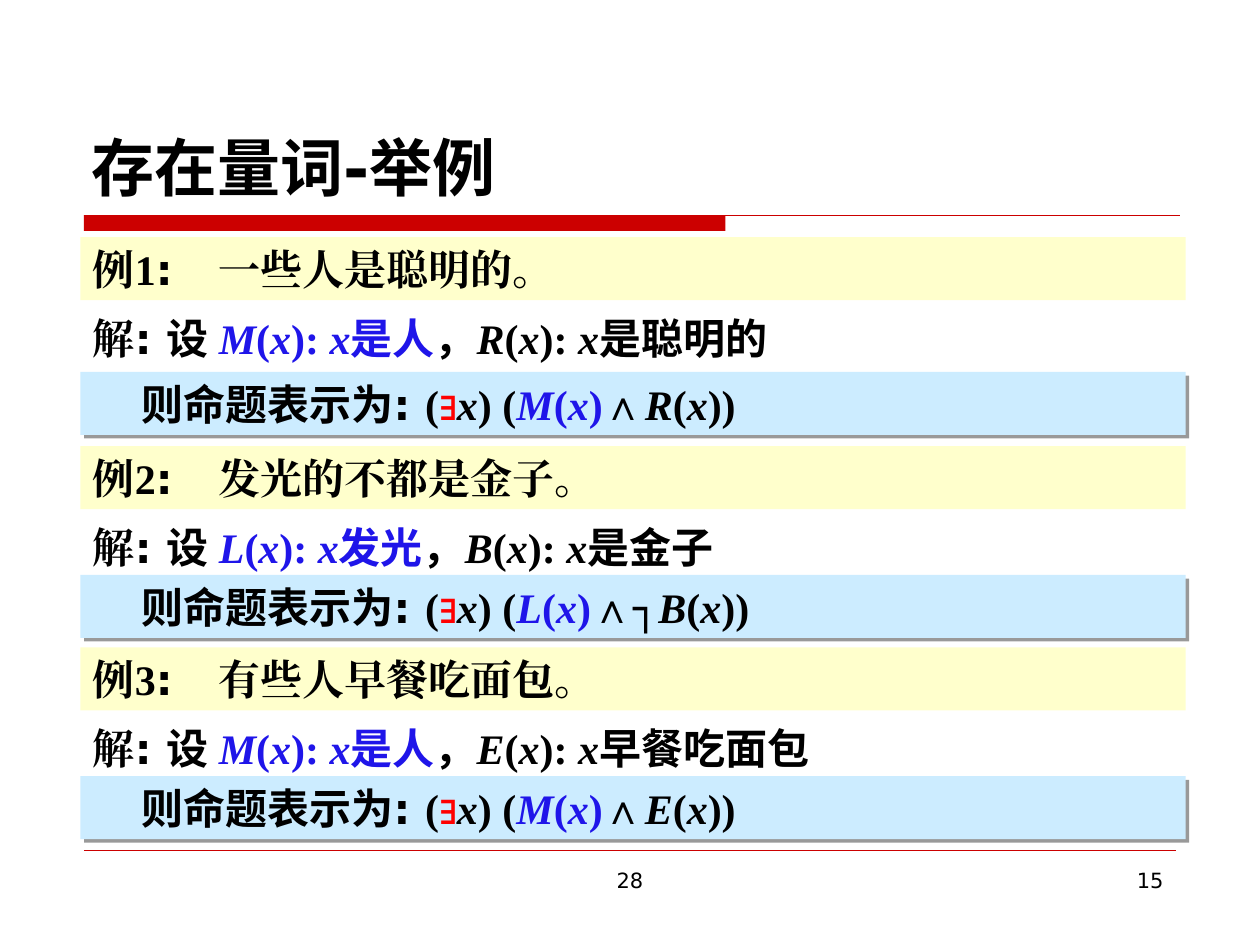
from itertools import groupby
from lxml.etree import SubElement
from pptx import Presentation
from pptx.dml.color import RGBColor
from pptx.enum.shapes import MSO_CONNECTOR, MSO_SHAPE
from pptx.enum.text import MSO_ANCHOR, MSO_AUTO_SIZE, PP_ALIGN
from pptx.oxml import parse_xml
from pptx.oxml.ns import nsdecls, qn
from pptx.util import Pt

BLACK = RGBColor(0x00, 0x00, 0x00)
BLUE = RGBColor(0x1F, 0x15, 0xE9)
RED = RGBColor(0xFF, 0x00, 0x00)
DARK_RED = RGBColor(0xCC, 0x00, 0x00)
YELLOW = RGBColor(0xFF, 0xFF, 0xCC)
PALE_BLUE = RGBColor(0xCC, 0xEC, 0xFF)
SANS = "DejaVu Sans"
SERIF = "Times New Roman"
LEFT, WIDTH, HEIGHT = 46, 631.5, 36

SHADOW = (
    f'<a:effectLst {nsdecls("a")}><a:outerShdw blurRad="0" dist="{Pt(3)}" dir="2700000">'
    '<a:srgbClr val="000000"><a:alpha val="40000"/></a:srgbClr>'
    "</a:outerShdw></a:effectLst>"
)


def add_run(paragraph, text, name=SANS, color=BLACK, size=24, bold=True, italic=False):
    run = paragraph.add_run()
    run.text = text
    formats = {"name": name, "size": Pt(size), "bold": bold, "italic": italic}
    for attribute, value in formats.items():
        setattr(run.font, attribute, value)
    run.font.color.rgb = color
    SubElement(run.font._element, qn("a:ea"), typeface=name)


def add_formula(paragraph, text, color=BLACK):
    def style(character):
        latin = character.isascii()
        return SERIF if latin or character == "∧" else SANS, latin and character.isalpha()

    for (name, italic), characters in groupby(text, style):
        add_run(paragraph, "".join(characters), name, color, italic=italic)


presentation = Presentation()
presentation.slide_width = Pt(720)
presentation.slide_height = Pt(540)
slide = presentation.slides.add_slide(presentation.slide_layouts[5])

rule_bar = slide.shapes.add_shape(MSO_SHAPE.RECTANGLE, Pt(48), Pt(123), Pt(366.5), Pt(9))
rule_bar.shadow.inherit = False
rule_bar.fill.solid()
rule_bar.fill.fore_color.rgb = DARK_RED
rule_bar.line.fill.background()

for right, top, weight in [(674.5, 123, 0.75), (672, 486, 0.25)]:
    rule = slide.shapes.add_connector(
        MSO_CONNECTOR.STRAIGHT, Pt(48), Pt(top), Pt(right), Pt(top)
    )
    rule.line.color.rgb = DARK_RED
    rule.line.width = Pt(weight)
    SubElement(rule._element.spPr, qn("a:effectLst"))

title = slide.shapes.title
placement = {"left": Pt(45), "top": Pt(24), "width": Pt(630), "height": Pt(96)}
for attribute, value in placement.items():
    setattr(title, attribute, value)
title.text_frame.auto_size = MSO_AUTO_SIZE.NONE
title.text_frame.vertical_anchor = MSO_ANCHOR.BOTTOM
title_paragraph = title.text_frame.paragraphs[0]
title_paragraph.alignment = PP_ALIGN.LEFT
add_run(title_paragraph, "存在量词-举例", size=36)

footers = [("28", 246, 228, PP_ALIGN.CENTER), ("15", 516, 156, PP_ALIGN.RIGHT)]
for text, left, width, alignment in footers:
    footer = slide.shapes.add_textbox(Pt(left), Pt(492), Pt(width), Pt(37.5))
    footer.text_frame.word_wrap = True
    paragraph = footer.text_frame.paragraphs[0]
    paragraph.alignment = alignment
    add_run(paragraph, text, size=12, bold=False)

examples = [
    (135.5, 212.5, "一些人是聪明的。", "M", "是人", "R", "是聪明的", "∧"),
    (255, 328.5, "发光的不都是金子。", "L", "发光", "B", "是金子", "∧┐"),
    (370, 443.5, "有些人早餐吃面包。", "M", "是人", "E", "早餐吃面包", "∧"),
]
for number, example in enumerate(examples, 1):
    top, answer_top, statement, first, first_text, second, second_text, operator = example
    rows = [(top, YELLOW), (top + 39.5, None), (answer_top, PALE_BLUE)]
    paragraphs = []
    for row_top, color in rows:
        box = (Pt(LEFT), Pt(row_top), Pt(WIDTH), Pt(HEIGHT))
        if color is None:
            shape = slide.shapes.add_textbox(*box)
        else:
            shape = slide.shapes.add_shape(MSO_SHAPE.RECTANGLE, *box)
            shape.fill.solid()
            shape.fill.fore_color.rgb = color
            shape.line.fill.background()
            if color == PALE_BLUE:
                shape._element.spPr.append(parse_xml(SHADOW))
                shape.text_frame.margin_left = Pt(35)
            else:
                shape.shadow.inherit = False
        shape.text_frame.word_wrap = True
        shape.text_frame.vertical_anchor = MSO_ANCHOR.TOP
        paragraph = shape.text_frame.paragraphs[0]
        paragraph.alignment = PP_ALIGN.LEFT
        paragraph.space_before = Pt(6)
        paragraphs.append(paragraph)

    heading, definition, answer = paragraphs
    add_run(heading, f"例{number}", SERIF)
    add_run(heading, ":\t")
    add_run(heading, statement, SERIF)

    add_run(definition, "解", SERIF)
    add_run(definition, ": 设\t")
    add_formula(definition, f"{first}(x): x{first_text}", BLUE)
    add_formula(definition, f"，{second}(x): x{second_text}")

    add_run(answer, "则命题表示为: ")
    add_formula(answer, "(")
    add_run(answer, "∃", "Arial", RED)
    add_formula(answer, "x) (")
    add_formula(answer, f"{first}(x)", BLUE)
    add_formula(answer, f"{operator}{second}(x))")

presentation.save("out.pptx")
